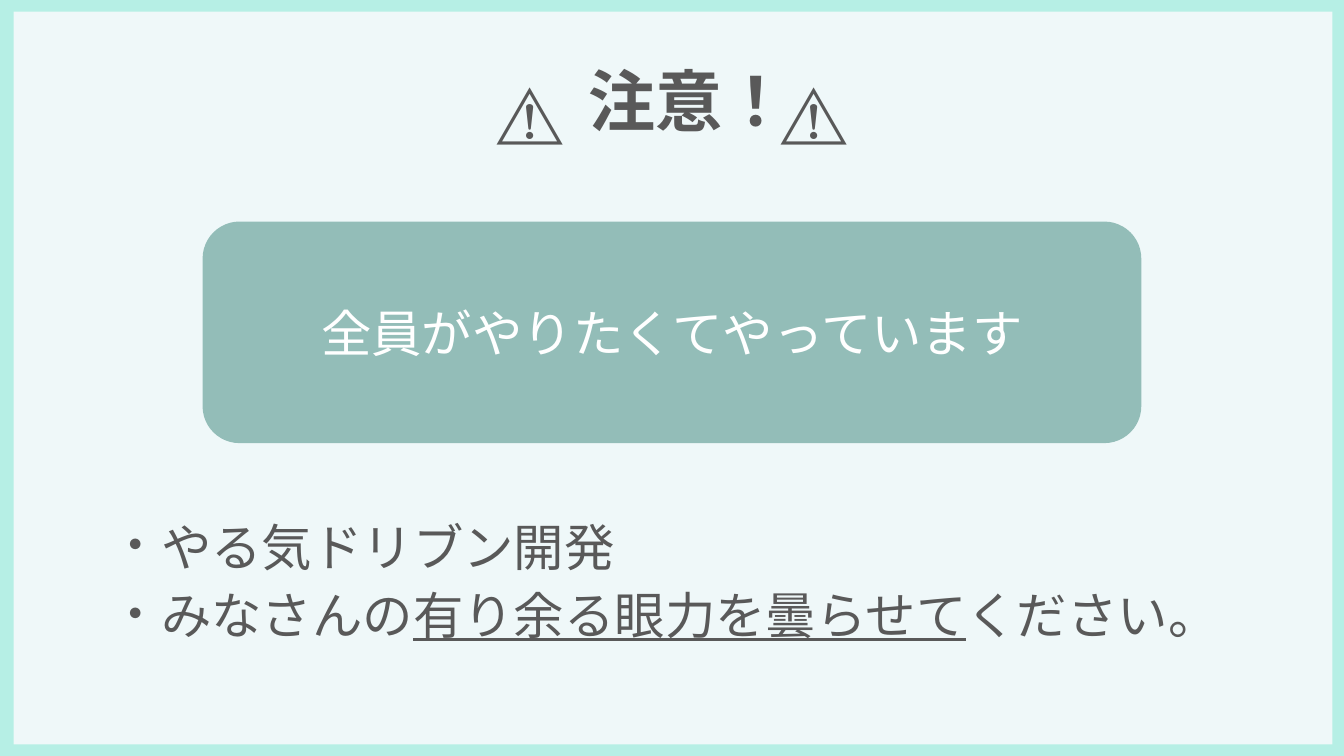
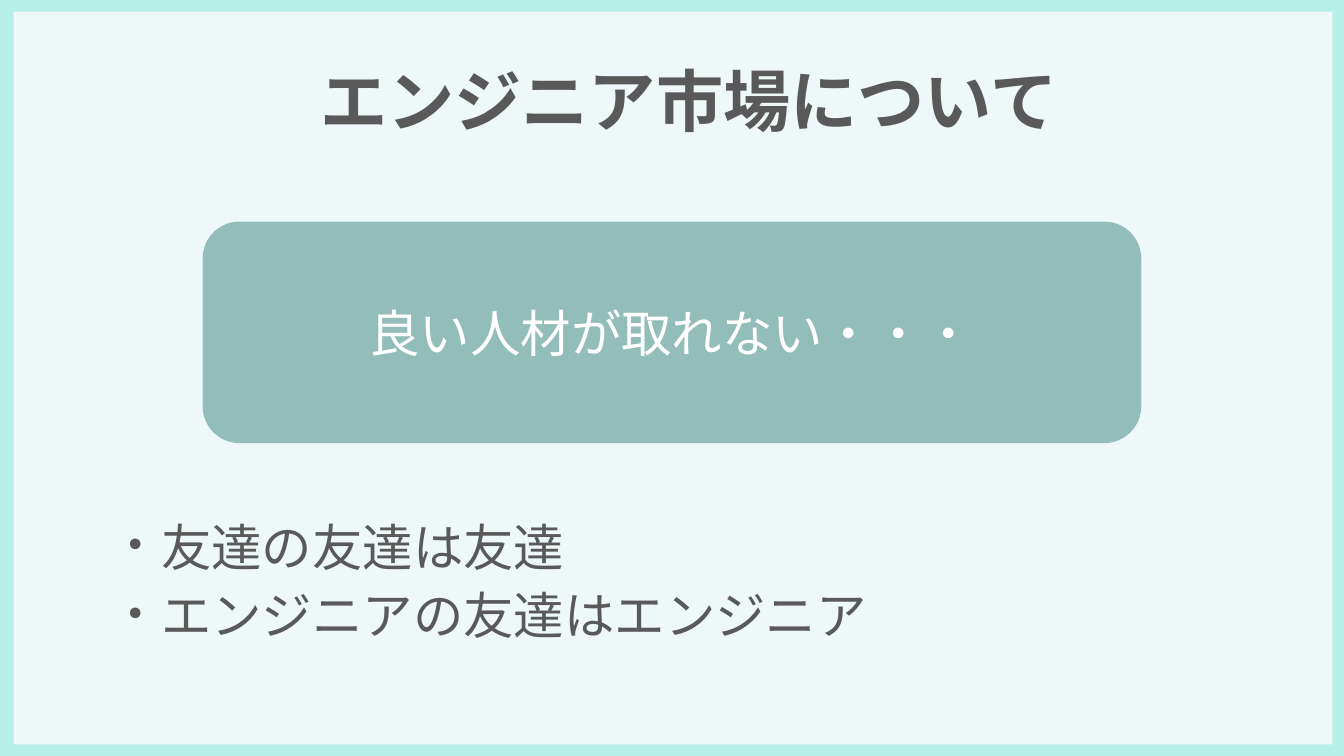
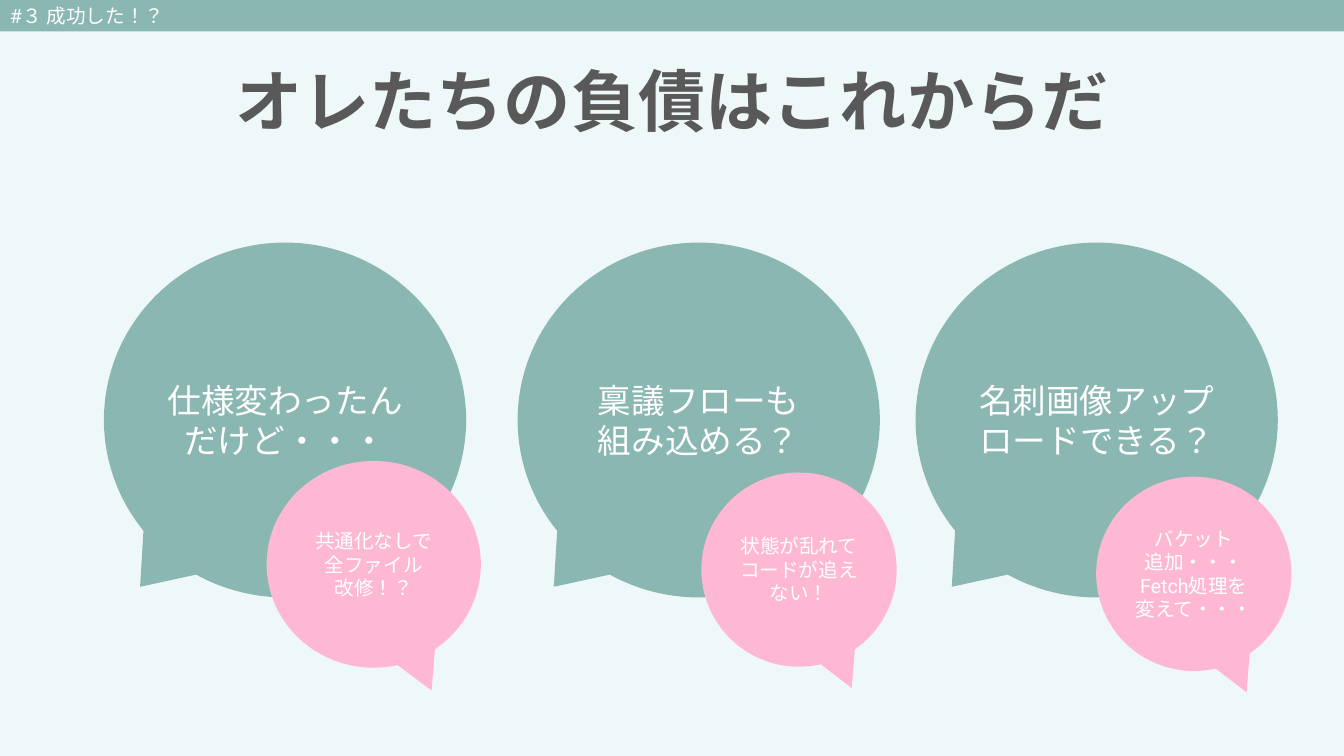
"""Build three slides: two framed message slides and one speech-bubble slide."""
from dataclasses import dataclass

from lxml import etree
from pptx import Presentation
from pptx import util as u
from pptx.dml.color import RGBColor
from pptx.enum import lang, shapes, text
from pptx.oxml import ns


@dataclass(frozen=True)
class Theme:
    font: str = "Roboto"
    paper: str = "EFF8F9"
    frame: str = "B6EFE5"
    teal: str = "8AB7B2"
    panel: str = "93BDB8"
    pink: str = "FFB8D3"
    ink: str = "595959"
    white: str = "FFFFFF"
    title: int = 48
    lead: int = 36
    bubble: int = 24
    small: int = 14


T = Theme()
PX = 9525
W, H = 1280, 720
SHAPE = shapes.MSO_SHAPE
ALIGN = text.PP_ALIGN
ANCHOR = text.MSO_ANCHOR


def write(sp, paras, size, color, anchor=ANCHOR.MIDDLE, bold=False, **fmt):
    """Fill a shape with paragraphs; every second run of a paragraph is underlined."""
    tf = sp.text_frame
    for key, value in dict(word_wrap=True, auto_size=text.MSO_AUTO_SIZE.NONE, vertical_anchor=anchor).items():
        setattr(tf, key, value)
    for i, runs in enumerate(paras):
        p = tf.add_paragraph() if i else tf.paragraphs[0]
        for key, value in {"alignment": ALIGN.CENTER, **fmt}.items():
            if i or key != "space_before":
                setattr(p, key, value)
        for j, words in enumerate(runs):
            r = p.add_run()
            r.text = words
            style = dict(name=T.font, size=u.Pt(size), bold=bold, underline=j % 2 == 1,
                         language_id=lang.MSO_LANGUAGE_ID.JAPANESE)
            for key, value in style.items():
                setattr(r.font, key, value)
            r.font.color.rgb = RGBColor.from_string(color)
            etree.SubElement(r.font._element, ns.qn("a:ea"), typeface=T.font)


def block(tree, kind, rect, color):
    """Add a plain filled preset shape."""
    sp = tree.add_shape(kind, *(v * PX for v in rect))
    sp.shadow.inherit = False
    sp.fill.solid()
    sp.fill.fore_color.rgb = RGBColor.from_string(color)
    sp.line.fill.background()
    return sp


prs = Presentation()
prs.slide_width, prs.slide_height = W * PX, H * PX
bg = prs.slide_master.background.fill
bg.solid()
bg.fore_color.rgb = RGBColor.from_string(T.paper)

slides = []
for words, center in (("注意！", 656), ("エンジニア市場について", 656), ("オレたちの負債はこれからだ", 640)):
    s = prs.slides.add_slide(prs.slide_layouts[5])
    title = s.shapes.title
    for key, value in dict(left=center - 576, top=30, width=1152, height=139).items():
        setattr(title, key, value * PX)
    write(title, [[words]], T.title, T.ink, bold=True, line_spacing=0.9)
    slides.append(s)
warning, market, debt = slides

FRAME = ((0, 0, W, 11), (0, H - 11, W, 11), (0, 0, 13, H), (W - 11, 0, 11, H))
MESSAGES = (
    (warning, "全員がやりたくてやっています",
     [["やる気ドリブン開発"], ["みなさんの", "有り余る眼力を曇らせて", "ください。"]]),
    (market, "良い人材が取れない・・・",
     [["友達の友達は友達"], ["エンジニアの友達はエンジニア"]]),
)
for s, message, points in MESSAGES:
    for rect in FRAME:
        block(s.shapes, SHAPE.RECTANGLE, rect, T.frame)
    panel = block(s.shapes, SHAPE.ROUNDED_RECTANGLE, (193, 211, 894, 211), T.panel)
    write(panel, [[message]], T.lead, T.white)
    body = s.shapes.add_textbox(*(v * PX for v in (96, 493, 1104, 139)))
    write(body, points, T.lead, T.ink, anchor=ANCHOR.TOP, alignment=ALIGN.LEFT,
          line_spacing=0.9, space_before=u.Pt(10))
    for p in body.text_frame.paragraphs:
        pPr = p._p.get_or_add_pPr()
        pPr.set("marL", str(16 * PX))
        pPr.set("indent", str(-16 * PX))
        etree.SubElement(pPr, ns.qn("a:buFont"), typeface=T.font)
        etree.SubElement(pPr, ns.qn("a:buChar"), char="・")

for center in (W // 2 - 135, W // 2 + 135):
    sign = warning.shapes.add_textbox(*(v * PX for v in (center - 60, 42, 120, 139)))
    write(sign, [["⚠️"]], T.title, T.ink, bold=True, line_spacing=0.9)

REQUESTS = (
    (99, [["仕様変わったんだけど・・・"]]),
    (493, [["稟議フローも"], ["組み込める？"]]),
    (872, [["名刺画像アップロードできる？"]]),
)
REPLIES = (
    ((254, 439, 204, 197), [["共通化なしで"], ["全ファイル"], ["改修！？"]]),
    ((668, 450, 186, 185), [["状態が乱れてコードが追えない！"]]),
    ((1044, 454, 186, 185), [["バケット"], ["追加・・・"], ["Fetch処理を変えて・・・"]]),
)
bubbles = [((left, 231, 345, 338), paras, T.teal, T.bubble, (-0.4, 0.47)) for left, paras in REQUESTS]
bubbles += [(rect, paras, T.pink, T.small, (0.27, 0.61)) for rect, paras in REPLIES]
for rect, paras, color, size, tail in bubbles:
    sp = block(debt.shapes, SHAPE.OVAL_CALLOUT, rect, color)
    sp.adjustments[0], sp.adjustments[1] = tail
    write(sp, paras, size, T.white)

band = block(debt.shapes, SHAPE.RECTANGLE, (0, 0, W, 30), T.teal)
write(band, [["#３ 成功した！？"]], T.small, T.white, alignment=ALIGN.LEFT)

prs.save("out.pptx")
